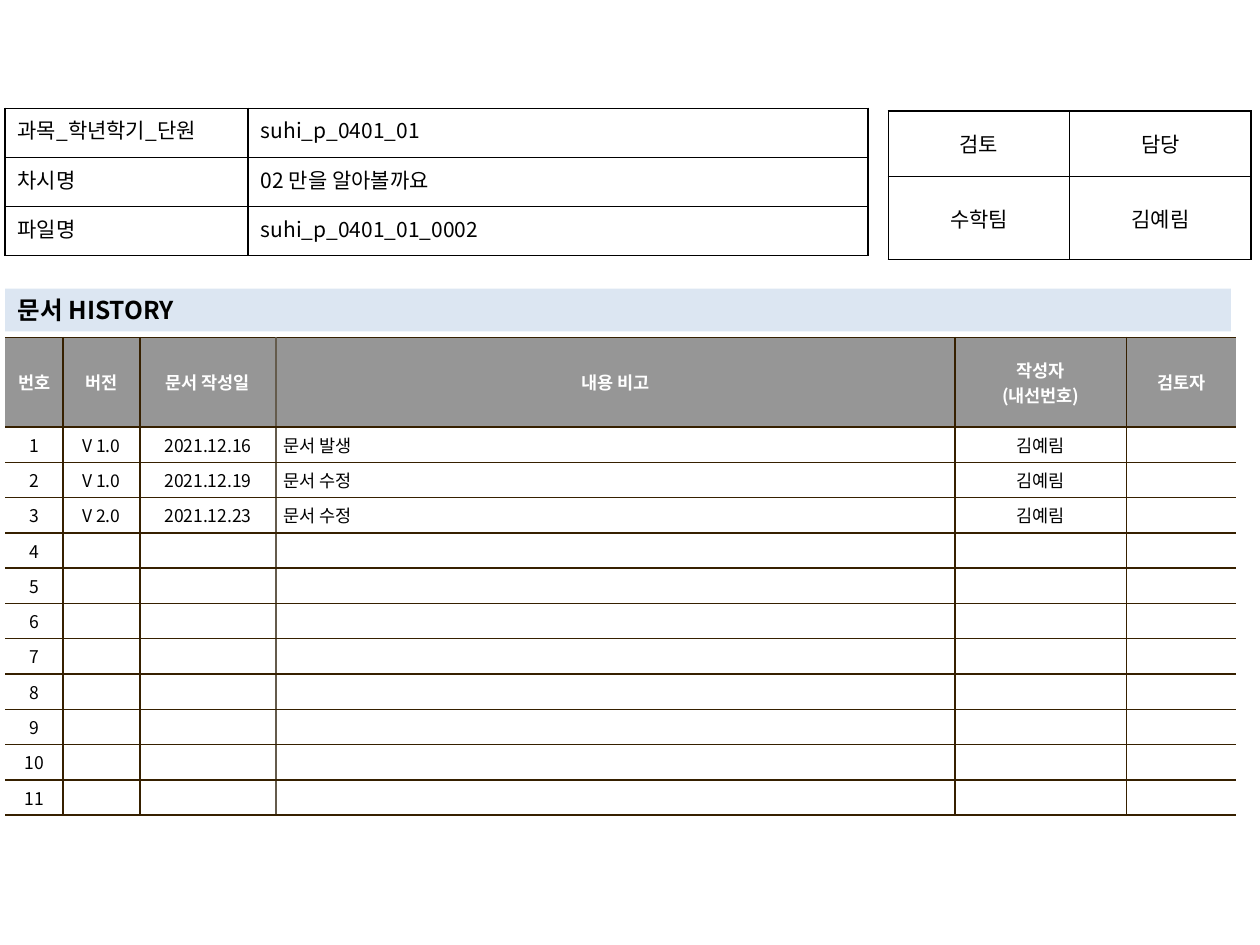
from dataclasses import dataclass

from lxml.etree import SubElement
from pptx import Presentation
from pptx.dml.color import RGBColor as RGB
from pptx.enum.text import MSO_ANCHOR as ANCHOR, PP_ALIGN as ALIGN
from pptx.oxml import parse_xml
from pptx.oxml.ns import nsdecls, qn
from pptx.util import Inches, Pt

LESSON = [
    ["과목_학년학기_단원", "suhi_p_0401_01"],
    ["차시명", "02 만을 알아볼까요"],
    ["파일명", "suhi_p_0401_01_0002"],
]
APPROVAL = [["검토", "담당"], ["수학팀", "김예림"]]
TITLE = "문서 HISTORY"
HEADER = ["번호", "버전", "문서 작성일", "내용 비고", "작성자\n(내선번호)", "검토자"]
REVISIONS = [
    ["V 1.0", "2021.12.16", "문서 발생", "김예림", ""],
    ["V 1.0", "2021.12.19", "문서 수정", "김예림", ""],
    ["V 2.0", "2021.12.23", "문서 수정", "김예림", ""],
]
ENTRY_COUNT = 11
NOTE_COL = 3


@dataclass(frozen=True)
class Theme:
    font: str = "Noto Sans CJK KR"
    black: str = "000000"
    white: str = "FFFFFF"
    bar: str = "DCE6F2"
    head: str = "969696"
    brown: str = "362000"
    taupe: str = "645B4C"
    title_size: int = 14
    form_size: int = 12
    history_size: int = 10


T = Theme()
LEFT = 0.04


def style_text(tf, size, color, bold=False, align=ALIGN.LEFT):
    for p in tf.paragraphs:
        p.alignment = align
        if not p.runs:
            SubElement(p._p, qn("a:endParaRPr"), sz=str(size * 100))
        for r in p.runs:
            for name, value in dict(size=Pt(size), bold=bold, name=T.font).items():
                setattr(r.font, name, value)
            r.font.color.rgb = RGB.from_string(color)
            SubElement(r._r.get_or_add_rPr(), qn("a:ea"), typeface=T.font)


def set_borders(cell, colors):
    tc_pr = cell._tc.get_or_add_tcPr()
    for i, side in enumerate("LRTB"):
        color = colors[side]
        paint = (f'<a:solidFill><a:srgbClr val="{color}"/></a:solidFill>'
                 if color else "<a:noFill/>")
        tc_pr.insert(i, parse_xml(
            f'<a:ln{side} {nsdecls("a")} w="{Pt(1)}">{paint}</a:ln{side}>'))


def add_grid(slide, rows, left, top, widths, heights, insets, decorate):
    frame = slide.shapes.add_table(
        len(rows), len(widths), Inches(left), Inches(top),
        Inches(sum(widths)), Inches(sum(heights)))
    table = frame.table
    table.first_row = table.horz_banding = False
    for col, width in zip(table.columns, widths):
        col.width = Inches(width)
    for row, height in zip(table.rows, heights):
        row.height = Inches(height)
    margin_x, margin_y = map(Inches, insets)
    box = dict(margin_left=margin_x, margin_right=margin_x,
               margin_top=margin_y, margin_bottom=margin_y)
    for r, texts in enumerate(rows):
        for c, text in enumerate(texts):
            cell = table.cell(r, c)
            cell.text = text
            for name, value in box.items():
                setattr(cell, name, value)
            decorate(cell, r, c)


def form_cell(cell, align, anchor):
    cell.vertical_anchor = anchor
    cell.fill.background()
    set_borders(cell, dict.fromkeys("LRTB", T.black))
    style_text(cell.text_frame, T.form_size, T.black, align=align)


def lesson_cell(cell, r, c):
    form_cell(cell, ALIGN.LEFT if c else ALIGN.JUSTIFY, ANCHOR.TOP)


def approval_cell(cell, r, c):
    form_cell(cell, ALIGN.CENTER, ANCHOR.MIDDLE)


def history_cell(cell, r, c):
    is_head = r == 0
    is_note = c == NOTE_COL and not is_head
    edges = [None] + [T.brown] * (len(HEADER) - 1) + [None]
    edges[NOTE_COL] = T.taupe
    cell.vertical_anchor = ANCHOR.MIDDLE
    cell.fill.solid()
    cell.fill.fore_color.rgb = RGB.from_string(T.head if is_head else T.white)
    set_borders(cell, dict(L=edges[c], R=edges[c + 1], T=T.brown, B=T.brown))
    style_text(cell.text_frame, T.history_size, T.white if is_head else T.black,
               is_head, ALIGN.LEFT if is_note else ALIGN.CENTER)
    if is_note:
        p_pr = cell.text_frame.paragraphs[0]._p.get_or_add_pPr()
        p_pr.set("marL", str(Inches(0.19)))
        p_pr.set("indent", str(-Inches(0.19)))


def add_title(slide):
    sp = slide.shapes.title
    place = dict(left=LEFT, top=2.29, width=9.73, height=0.34)
    for name, value in place.items():
        setattr(sp, name, Inches(value))
    sp.fill.solid()
    sp.fill.fore_color.rgb = RGB.from_string(T.bar)
    tf = sp.text_frame
    tf.text = TITLE
    tf.vertical_anchor = ANCHOR.MIDDLE
    style_text(tf, T.title_size, T.black, True)


def main():
    prs = Presentation()
    prs.slide_width, prs.slide_height = Inches(10), Inches(7.5)
    slide = prs.slides.add_slide(prs.slide_layouts[5])
    add_title(slide)

    blanks = [[""] * (len(HEADER) - 1)] * (ENTRY_COUNT - len(REVISIONS))
    entries = [[str(n), *row] for n, row in enumerate(REVISIONS + blanks, 1)]
    add_grid(slide, [HEADER] + entries, LEFT, 2.68,
             [0.46, 0.61, 1.08, 5.39, 1.36, 0.87],
             [0.71] + [0.28] * ENTRY_COUNT, (0.06, 0.04), history_cell)
    add_grid(slide, APPROVAL, 7.05, 0.88, [1.44] * 2, [0.52, 0.66],
             (0.1, 0.05), approval_cell)
    add_grid(slide, LESSON, LEFT, 0.86, [1.93, 4.92], [0.39] * 3,
             (0.1, 0.05), lesson_cell)
    prs.save("out.pptx")


if __name__ == "__main__":
    main()
